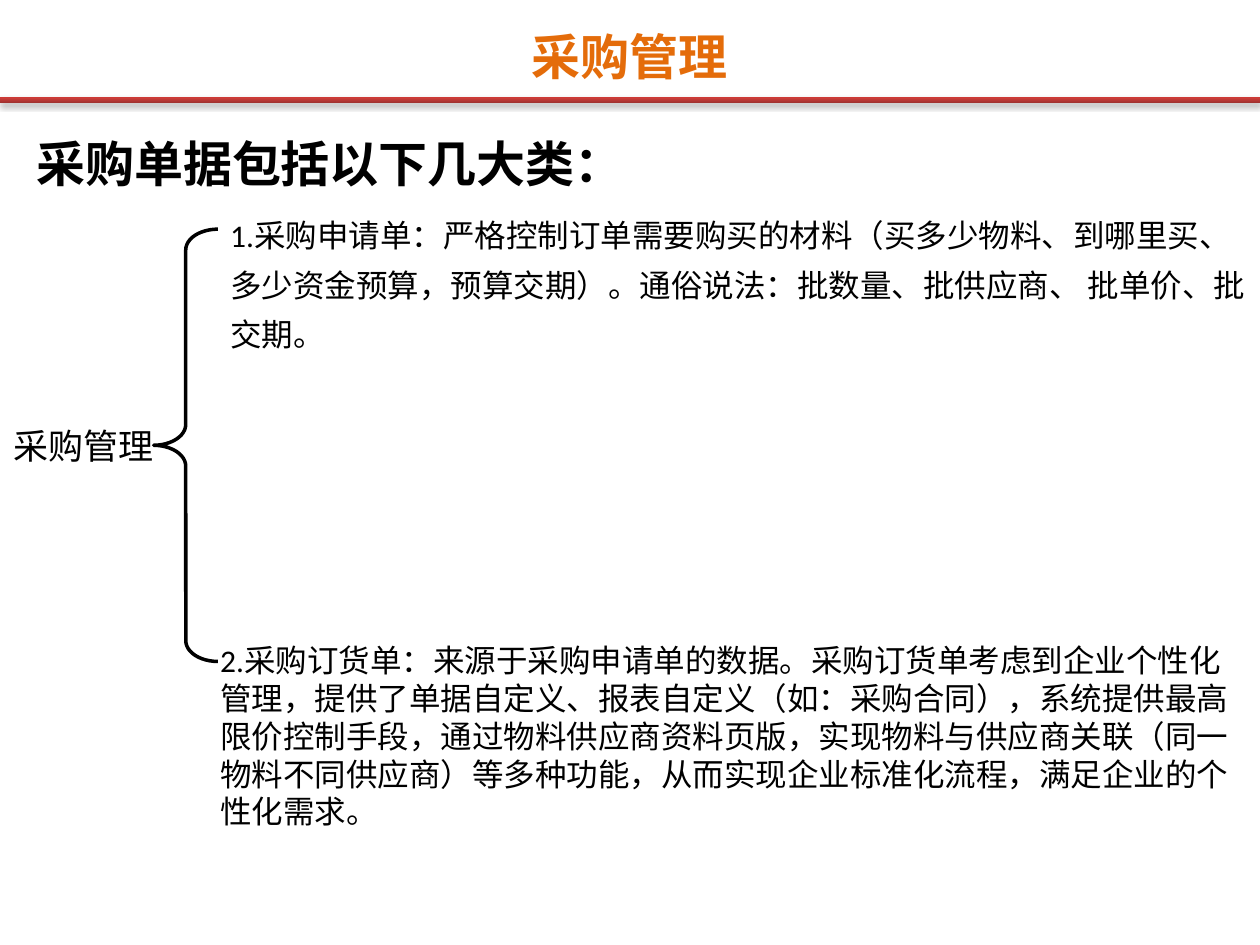
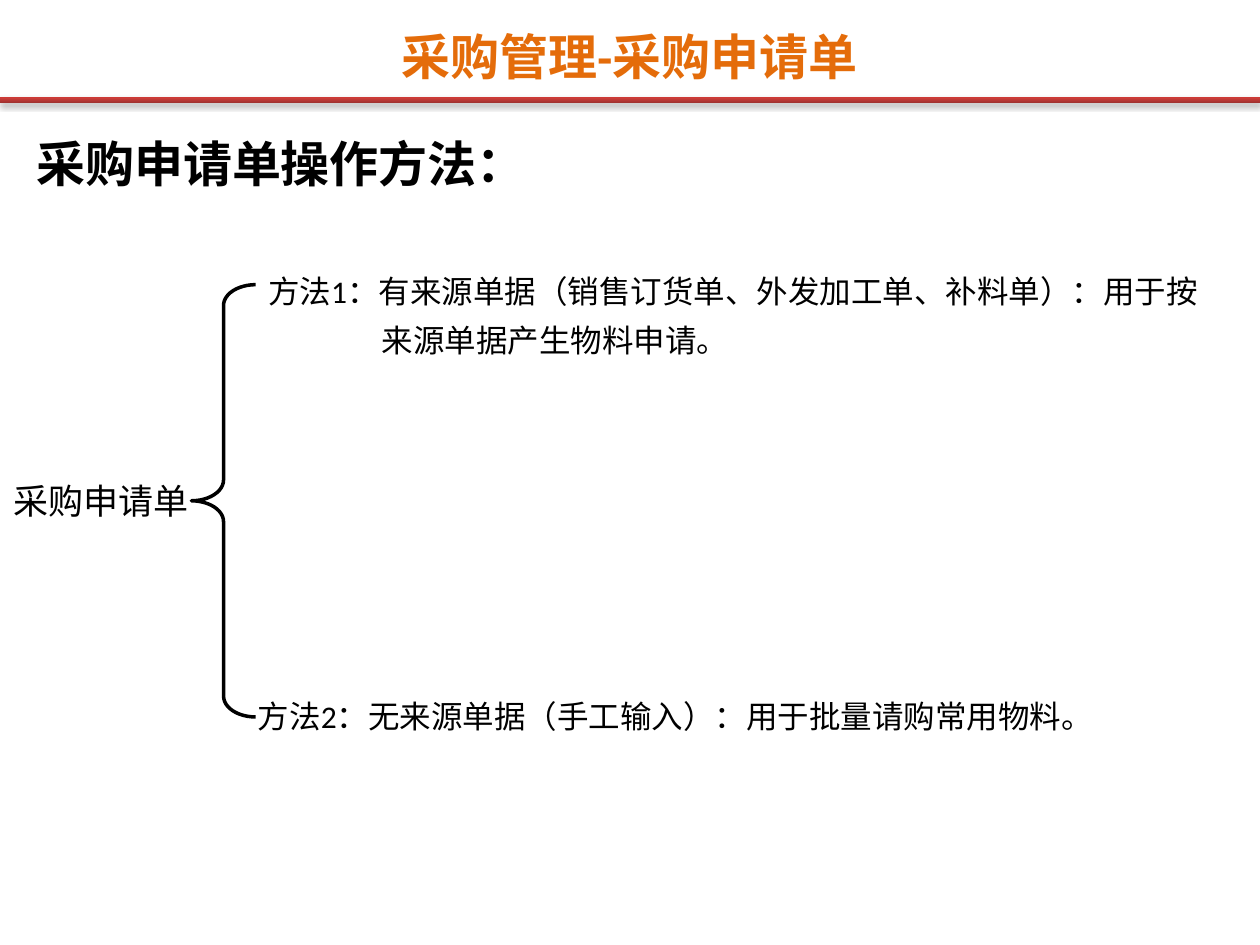
import pptx
import pptx.util
import pptx.dml.color
import pptx.enum.shapes
import pptx.enum.text
import pptx.oxml
import pptx.oxml.ns

Pt = pptx.util.Pt
RGBColor = pptx.dml.color.RGBColor
qn = pptx.oxml.ns.qn
SHAPES = pptx.enum.shapes.MSO_SHAPE
ALIGN = pptx.enum.text.PP_ALIGN

ORANGE = RGBColor(0xE4, 0x6C, 0x0A)
BLACK = RGBColor(0, 0, 0)
WHITE = RGBColor(255, 255, 255)
RULE_REDS = [
    (0, RGBColor(0x9C, 0x2F, 0x2D)),
    (80, RGBColor(0xCB, 0x3E, 0x3A)),
    (100, RGBColor(0xCE, 0x3B, 0x37)),
]
FONT = "Calibri"
SLIDE_WIDTH, SLIDE_HEIGHT = 720, 540
BRACE_WIDTH, BRACE_HEIGHT = 36.7, 247
LABEL_HEIGHT = 31.5


def add_text(page, lines, left, top, width, height, size=18, color=BLACK,
             bold=False, align=ALIGN.LEFT, spacing=None, wrap=True, hang=0):
    """Add a text box; lines after the first are indented by hang."""
    box = page.shapes.add_textbox(Pt(left), Pt(top), Pt(width), Pt(height))
    frame = box.text_frame
    frame.word_wrap = wrap
    frame.auto_size = pptx.enum.text.MSO_AUTO_SIZE.SHAPE_TO_FIT_TEXT
    for index, line in enumerate(lines):
        para = frame.add_paragraph() if index else frame.paragraphs[0]
        if index and hang:
            para._p.get_or_add_pPr().set("marL", str(Pt(hang)))
        para.alignment = align
        if spacing:
            para.line_spacing = spacing
        span = para.add_run()
        span.text = line
        span.font.name = FONT
        span.font.size = Pt(size)
        span.font.bold = bold
        span.font.color.rgb = color


def add_rule(page):
    """Add the red gradient band with a soft shadow below the title."""
    band = page.shapes.add_shape(SHAPES.RECTANGLE, 0, Pt(55.4), Pt(SLIDE_WIDTH), Pt(3.6))
    band.line.fill.background()
    band.fill.gradient()
    band.fill.gradient_angle = 90
    namespace = pptx.oxml.ns.nsdecls("a")
    stops = band._element.spPr.find(".//" + qn("a:gsLst"))
    for stop in list(stops):
        stops.remove(stop)
    for percent, color in RULE_REDS:
        stops.append(pptx.oxml.parse_xml(
            f'<a:gs {namespace} pos="{percent * 1000}"><a:srgbClr val="{color}"/></a:gs>'))
    band.shadow.inherit = False
    band._element.spPr.find(qn("a:effectLst")).append(pptx.oxml.parse_xml(
        f'<a:outerShdw {namespace} blurRad="{Pt(3.1)}" dist="{Pt(1.8)}" dir="5400000" '
        f'rotWithShape="0"><a:srgbClr val="{BLACK}"><a:alpha val="35000"/></a:srgbClr>'
        '</a:outerShdw>'))


def add_brace(page, left, top):
    brace = page.shapes.add_shape(
        SHAPES.LEFT_BRACE, Pt(left), Pt(top), Pt(BRACE_WIDTH), Pt(BRACE_HEIGHT))
    brace.adjustments[0] = 0.324
    brace.adjustments[1] = 0.5
    brace.fill.background()
    brace.line.color.rgb = BLACK
    brace.line.width = Pt(2)
    brace.shadow.inherit = False


def add_page(deck, title, heading):
    """Add a page with the shared title, band and heading."""
    page = deck.slides.add_slide(deck.slide_layouts[6])
    page.background.fill.solid()
    page.background.fill.fore_color.rgb = WHITE
    add_text(page, [title], 198, 11.5, 323.3, 41, size=28, color=ORANGE,
             bold=True, align=ALIGN.CENTER)
    add_rule(page)
    add_text(page, [heading], 13.7, 72.7, 675.4, 41, size=28, bold=True)
    return page


def add_branches(page, label, label_width, left, top, upper, upper_size, lower, lower_size):
    """Add a label, its brace, and the texts at the two ends of the brace."""
    right = left + BRACE_WIDTH
    add_text(page, [label], 0.7, top + (BRACE_HEIGHT - LABEL_HEIGHT) / 2,
             label_width, LABEL_HEIGHT, size=20, wrap=False)
    add_brace(page, left, top)
    add_text(page, upper, right, top - 17.3, *upper_size, spacing=1.3, hang=65)
    add_text(page, lower, right - 5.8, top + 231.8, *lower_size)


def main():
    deck = pptx.Presentation()
    deck.slide_width, deck.slide_height = Pt(SLIDE_WIDTH), Pt(SLIDE_HEIGHT)

    # Kinds of purchasing document
    page = add_page(deck, "采购管理", "采购单据包括以下几大类：")
    add_branches(
        page, "采购管理", 95, 87.8, 131,
        ["1.采购申请单：严格控制订单需要购买的材料（买多少物料、到哪里买、"
         "多少资金预算，预算交期）。通俗说法：批数量、批供应商、 批单价、批交期。"],
        (595.4, 92.2),
        ["2.采购订货单：来源于采购申请单的数据。采购订货单考虑到企业个性化管理，"
         "提供了单据自定义、报表自定义（如：采购合同），系统提供最高限价控制手段，"
         "通过物料供应商资料页版，实现物料与供应商关联（同一物料不同供应商）等多种功能，"
         "从而实现企业标准化流程，满足企业的个性化需求。"],
        (596.9, 115.9))

    # Ways to make a purchase request
    page = add_page(deck, "采购管理-采购申请单", "采购申请单操作方法：")
    add_branches(
        page, "采购申请单", 121, 109.4, 162.7,
        ["方法1：有来源单据（销售订货单、外发加工单、补料单）：用于按",
         "来源单据产生物料申请。"],
        (563, 64),
        ["方法2：无来源单据（手工输入）：用于批量请购常用物料。"],
        (573.8, 28.8))

    deck.save("out.pptx")


if __name__ == "__main__":
    main()
